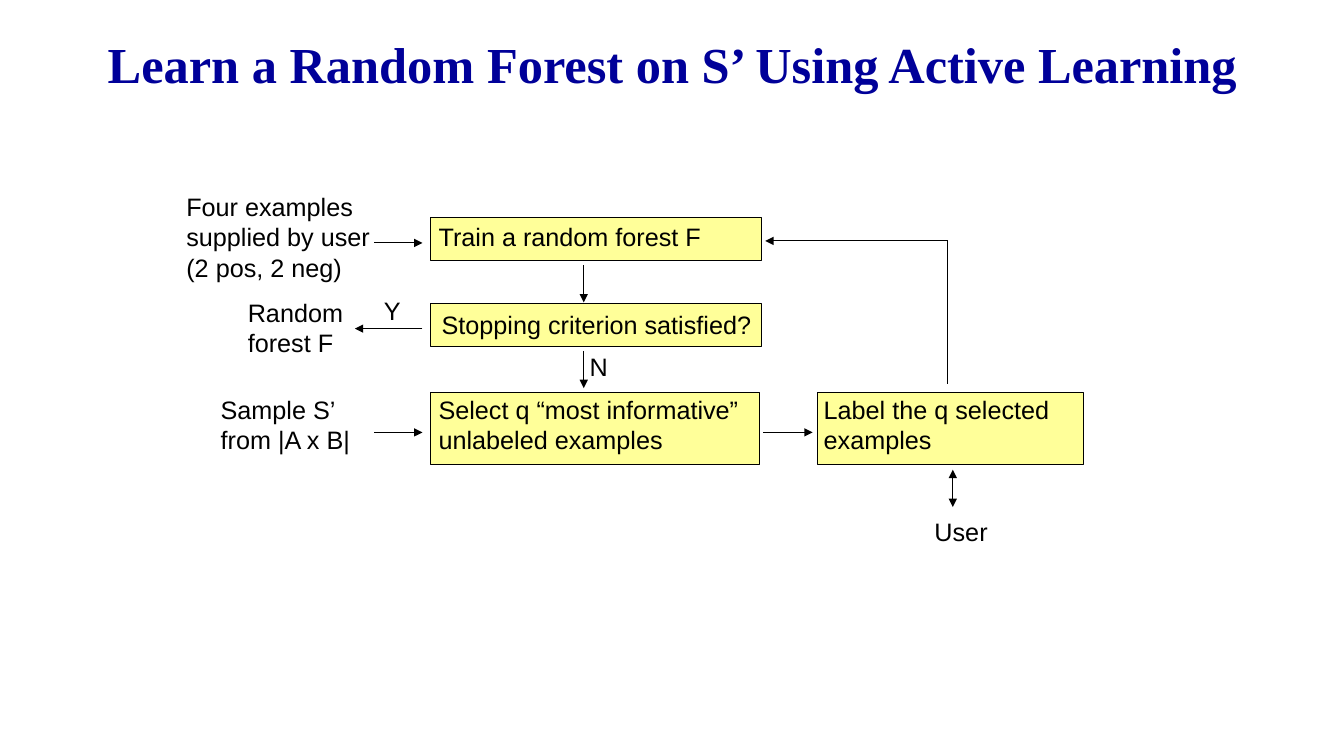
from pptx import Presentation
from pptx.dml.color import RGBColor
from pptx.enum.shapes import MSO_CONNECTOR, MSO_SHAPE
from pptx.enum.text import MSO_ANCHOR, PP_ALIGN
from pptx.oxml.ns import qn
from pptx.util import Inches, Pt
from lxml import etree

RECTANGLE = MSO_SHAPE.RECTANGLE
STRAIGHT = MSO_CONNECTOR.STRAIGHT
TOP, MIDDLE = MSO_ANCHOR.TOP, MSO_ANCHOR.MIDDLE
LEFT, CENTER = PP_ALIGN.LEFT, PP_ALIGN.CENTER

BLACK, NAVY, YELLOW = "000000", "000099", "FFFF99"
TITLE_ONLY = 5
LINE_WIDTH = Pt(0.75)

# Positions inside the flowchart area, in inches
STEP_LEFT, STEP_WIDTH, STEP_HEIGHT = 2.52, 3.28, 0.43
QUERY_TOP, QUERY_HEIGHT = 2.04, 0.72
INPUT_START, INPUT_END = 1.96, 2.44
FLOW_X, QUERY_Y = 4.04, 2.44
LOOP_X, LOOP_Y = 7.65, 0.54

# Lines, box, left and top inset
STEPS = [
    (["Train a random forest F"], (STEP_LEFT, 0.31, STEP_WIDTH, STEP_HEIGHT), (0.08, 0.04)),
    (["Stopping criterion satisfied?"], (STEP_LEFT, 1.16, STEP_WIDTH, STEP_HEIGHT), (0.11, 0.06)),
    (["Select q “most informative”", "unlabeled examples"],
     (STEP_LEFT, QUERY_TOP, 3.26, QUERY_HEIGHT), (0.08, 0.02)),
    (["Label the q selected", "examples"], (6.36, QUERY_TOP, 2.64, QUERY_HEIGHT), (0.06, 0.02)),
]
LABELS = [
    (["Four examples", "supplied by user", "(2 pos, 2 neg)"], (0, 0, 2.11, 1.01)),
    (["Random", "forest F"], (0.61, 1.05, 1.16, 0.71)),
    (["Sample S’", "from |A x B|"], (0.34, 2.01, 1.51, 0.71)),
    (["User"], (7.42, 3.22, 0.73, 0.4)),
    (["Y"], (1.96, 1.03, 0.37, 0.4)),
    (["N"], (4, 1.59, 0.38, 0.4)),
]
# Start, end, ends that carry an arrowhead
ARROWS = [
    ((INPUT_START, 0.56), (INPUT_END, 0.56), ["tailEnd"]),
    ((INPUT_START, QUERY_Y), (INPUT_END, QUERY_Y), ["tailEnd"]),
    ((INPUT_END, 1.41), (1.77, 1.41), ["tailEnd"]),
    ((FLOW_X, 0.78), (FLOW_X, 1.15), ["tailEnd"]),
    ((FLOW_X, 1.63), (FLOW_X, 2), ["tailEnd"]),
    ((5.82, QUERY_Y), (6.31, QUERY_Y), ["tailEnd"]),
    ((7.7, 2.81), (7.7, 3.18), ["headEnd", "tailEnd"]),
    ((5.84, LOOP_Y), (LOOP_X, LOOP_Y), ["headEnd"]),
    ((LOOP_X, LOOP_Y), (LOOP_X, 1.96), []),
]


def color(value):
    return RGBColor.from_string(value)


def write_lines(frame, lines, font_name="Arial", size=18, font_color=BLACK,
                bold=False, alignment=LEFT):
    for index, line in enumerate(lines):
        paragraph = frame.paragraphs[0] if index == 0 else frame.add_paragraph()
        paragraph.alignment = alignment
        run = paragraph.add_run()
        run.text = line
        run.font.name = font_name
        run.font.size = Pt(size)
        run.font.bold = bold
        run.font.color.rgb = color(font_color)


def place(origin, box):
    left, top, width, height = box
    return (Inches(origin[0] + left), Inches(origin[1] + top),
            Inches(width), Inches(height))


def add_step(slide, origin, lines, box, insets):
    shape = slide.shapes.add_shape(RECTANGLE, *place(origin, box))
    shape.shadow.inherit = False
    shape.fill.solid()
    shape.fill.fore_color.rgb = color(YELLOW)
    shape.line.color.rgb = color(BLACK)
    shape.line.width = LINE_WIDTH
    frame = shape.text_frame
    frame.word_wrap = True
    frame.vertical_anchor = TOP
    frame.margin_left, frame.margin_top = map(Inches, insets)
    frame.margin_right = frame.margin_bottom = 0
    write_lines(frame, lines)


def add_label(slide, origin, lines, box):
    frame = slide.shapes.add_textbox(*place(origin, box)).text_frame
    frame.word_wrap = False
    write_lines(frame, lines)


def add_arrow(slide, origin, start, end, heads):
    points = [Inches(base + offset) for point in (start, end)
              for base, offset in zip(origin, point)]
    connector = slide.shapes.add_connector(STRAIGHT, *points)
    connector.line.color.rgb = color(BLACK)
    connector.line.width = LINE_WIDTH
    outline = connector.line._get_or_add_ln()
    for head in heads:
        etree.SubElement(outline, qn(f"a:{head}"), type="triangle")
    etree.SubElement(connector._element.spPr, qn("a:effectLst"))


def add_title(slide, box):
    title = slide.shapes.title
    title.left, title.top, title.width, title.height = map(Inches, box)
    title.text_frame.vertical_anchor = MIDDLE
    title.text_frame.word_wrap = True
    write_lines(title.text_frame, ["Learn a Random Forest on S’ Using Active Learning"],
                "Times New Roman", 36, NAVY, True, CENTER)


def add_flowchart(slide, origin):
    # Process boxes
    for lines, box, insets in STEPS:
        add_step(slide, origin, lines, box, insets)
    # Inputs, outputs and branch names
    for lines, box in LABELS:
        add_label(slide, origin, lines, box)
    # Flow, with the loop back to training
    for start, end, heads in ARROWS:
        add_arrow(slide, origin, start, end, heads)


def main():
    presentation = Presentation()
    presentation.slide_width = Inches(13.33)
    presentation.slide_height = Inches(7.5)
    slide = presentation.slides.add_slide(presentation.slide_layouts[TITLE_ONLY])
    add_title(slide, (0.65, 0.25, 12.04, 0.75))
    add_flowchart(slide, (1.75, 1.85))
    presentation.save("out.pptx")


if __name__ == "__main__":
    main()
